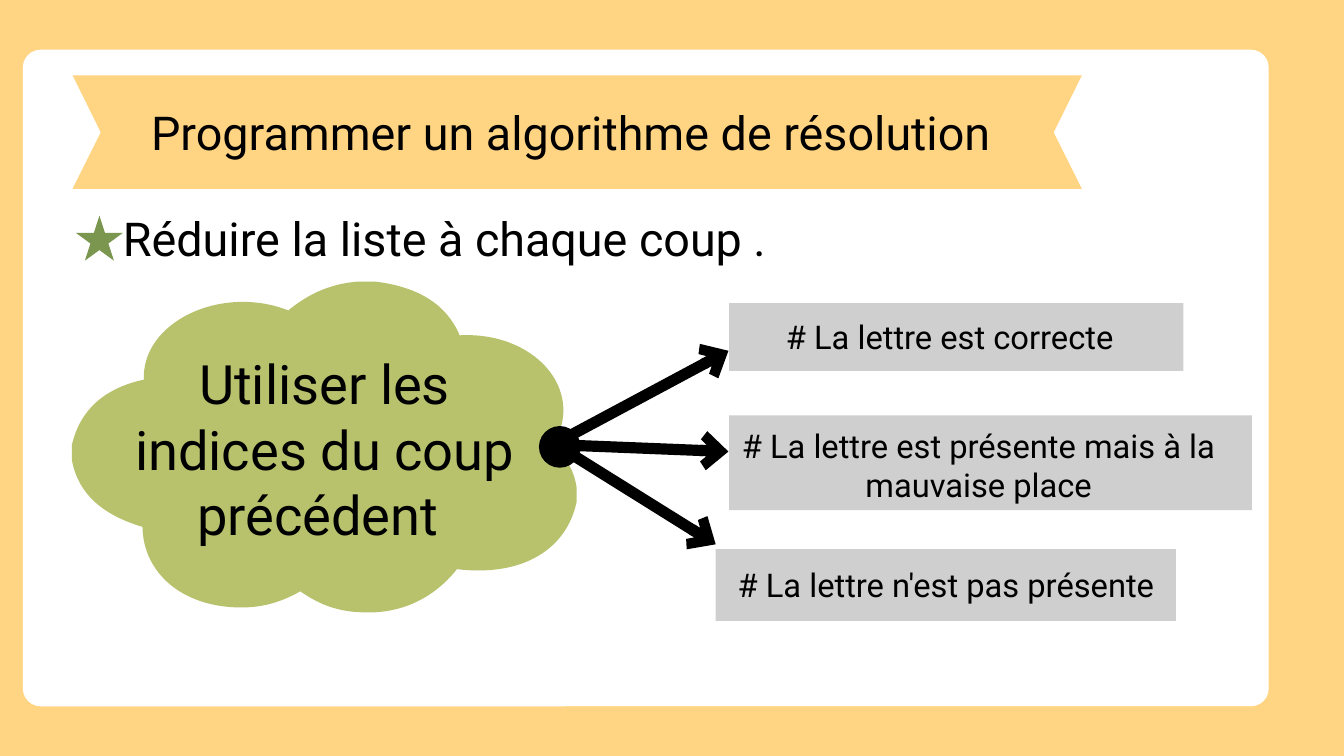
import pptx
import pptx.dml.color
import pptx.enum.shapes
import pptx.enum.text
import pptx.oxml.ns
import pptx.util
import lxml.etree

RGBColor = pptx.dml.color.RGBColor
YELLOW = RGBColor(0xFF, 0xD5, 0x83)
WHITE = RGBColor(0xFF, 0xFF, 0xFF)
DARK_GREEN = RGBColor(0x7A, 0x96, 0x4F)
GREEN = RGBColor(0xB8, 0xC2, 0x6C)
GREY = RGBColor(0xCF, 0xCF, 0xCF)
BLACK = RGBColor(0, 0, 0)
SHAPE = pptx.enum.shapes.MSO_SHAPE
ALIGN = pptx.enum.text.PP_ALIGN
COLS, ROWS = 20, 11.25
qn = pptx.oxml.ns.qn

prs = pptx.Presentation()
prs.slide_width = pptx.util.Inches(20)
prs.slide_height = pptx.util.Inches(11.25)
s = prs.slides.add_slide(prs.slide_layouts[5])
s.background.fill.solid()
s.background.fill.fore_color.rgb = YELLOW


def grid(*cells):
    units = (prs.slide_width / COLS, prs.slide_height / ROWS)
    return [round(cell * units[i % 2]) for i, cell in enumerate(cells)]


def paint(sp, color):
    sp.shadow.inherit = False
    sp.fill.solid()
    sp.fill.fore_color.rgb = color
    sp.line.fill.background()


panel = s.shapes.add_shape(SHAPE.ROUNDED_RECTANGLE, *grid(0.34, 0.74, 18.54, 9.77))
panel.adjustments[0] = 0.027
paint(panel, WHITE)

ribbon = [(1.08, 1.12), (1.5, 1.97), (1.08, 2.81), (16.1, 2.81), (15.68, 1.97), (16.1, 1.12)]
cloud = [
    (5.34, 4.19),
    (5.42, 4.19), (5.5, 4.19), (5.58, 4.19),
    (6.24, 4.27), (6.65, 4.54), (6.84, 4.99),
    (7.93, 4.93), (8.72, 5.78), (8.24, 6.61),
    (8.4, 6.79), (8.54, 6.98), (8.58, 7.25),
    (8.58, 7.32), (8.58, 7.4), (8.58, 7.47),
    (8.44, 8.14), (7.82, 8.59), (6.8, 8.47),
    (6.53, 8.81), (6.06, 9.16), (5.34, 9.11),
    (4.96, 9.09), (4.7, 8.96), (4.47, 8.8),
    (4.23, 8.93), (3.97, 9.04), (3.59, 9.04),
    (2.72, 9.04), (2.13, 8.53), (2.12, 7.84),
    (1.55, 7.67), (1.17, 7.37), (1.07, 6.85),
    (1.07, 6.77), (1.07, 6.7), (1.07, 6.62),
    (1.19, 6.11), (1.54, 5.78), (2.14, 5.65),
    (2.11, 4.78), (3.31, 4.23), (4.29, 4.62),
    (4.52, 4.43), (4.86, 4.22), (5.34, 4.19),
]
for points, color, curved in [(ribbon, YELLOW, False), (cloud, GREEN, True)]:
    fb = s.shapes.build_freeform(*grid(*points[0]))
    fb.add_line_segments([grid(*point) for point in points[1:]], close=not curved)
    sp = fb.convert_to_shape()
    paint(sp, color)
    if curved:
        lines = list(sp.element.iter(qn("a:lnTo")))
        outline = lines[0].getparent()
        for i in range(0, len(lines), 3):
            curve = lxml.etree.SubElement(outline, qn("a:cubicBezTo"))
            for line in lines[i:i + 3]:
                curve.append(line[0])
                outline.remove(line)
        lxml.etree.SubElement(outline, qn("a:close"))

for kind, cells, color in [
    (SHAPE.STAR_5_POINT, (1.13, 3.21, 0.7, 0.67), DARK_GREEN),
    (SHAPE.RECTANGLE, (10.85, 6.18, 7.78, 1.41), GREY),
    (SHAPE.RECTANGLE, (10.65, 8.17, 6.85, 1.07), GREY),
    (SHAPE.RECTANGLE, (10.85, 4.51, 6.76, 1.01), GREY),
    (SHAPE.OVAL, (8.02, 6.34, 0.62, 0.62), BLACK),
]:
    paint(s.shapes.add_shape(kind, *grid(*cells)), color)

arrows = [(8.43, 6.51, 10.84, 5.22), (8.59, 6.63, 10.84, 6.72), (8.44, 6.72, 10.65, 8.1)]
for ends in arrows:
    cx = s.shapes.add_connector(pptx.enum.shapes.MSO_CONNECTOR.STRAIGHT, *grid(*ends))
    cx.line.color.rgb = BLACK
    cx.line.width = pptx.util.Pt(12)
    spPr = cx.element.spPr
    lxml.etree.SubElement(spPr.find(qn("a:ln")), qn("a:tailEnd"), type="arrow", w="med", len="sm")
    lxml.etree.SubElement(spPr, qn("a:effectLst"))

title = s.shapes.title
title.element.getparent().append(title.element)

FRAME = {
    "word_wrap": True,
    "auto_size": pptx.enum.text.MSO_AUTO_SIZE.NONE,
    "vertical_anchor": pptx.enum.text.MSO_ANCHOR.TOP,
    "margin_left": 0,
    "margin_top": 0,
    "margin_right": 0,
    "margin_bottom": 0,
}
texts = [
    ("Programmer un algorithme de résolution ", (1.35, 1.54, 14.47, 0.84), 50, ALIGN.CENTER),
    ("Réduire la liste à chaque coup .", (1.83, 3.12, 10.87, 0.84), 50, ALIGN.LEFT),
    ("Utiliser les indices du coup précédent ", (1.83, 5.22, 6, 2.88), 58.1, ALIGN.CENTER),
    (" # La lettre est correcte", (11.07, 4.71, 6.01, 0.59), 35, ALIGN.CENTER),
    ("# La lettre est présente mais à la mauvaise place", (10.55, 6.33, 8.03, 1.18), 35, ALIGN.CENTER),
    ("# La lettre n'est pas présente", (10.55, 8.4, 7.06, 0.59), 35, ALIGN.CENTER),
]
for i, (text, cells, size, align) in enumerate(texts):
    sp = title if i == 0 else s.shapes.add_textbox(0, 0, 0, 0)
    sp.left, sp.top, sp.width, sp.height = grid(*cells)
    tf = sp.text_frame
    for name, value in FRAME.items():
        setattr(tf, name, value)
    p = tf.paragraphs[0]
    p.alignment = align
    p.line_spacing = pptx.util.Pt(round(size * 1.2, 1))
    r = p.add_run()
    r.text = text
    for name, value in {"name": "Roboto", "size": pptx.util.Pt(size)}.items():
        setattr(r.font, name, value)
    r.font.color.rgb = BLACK

prs.save("out.pptx")
